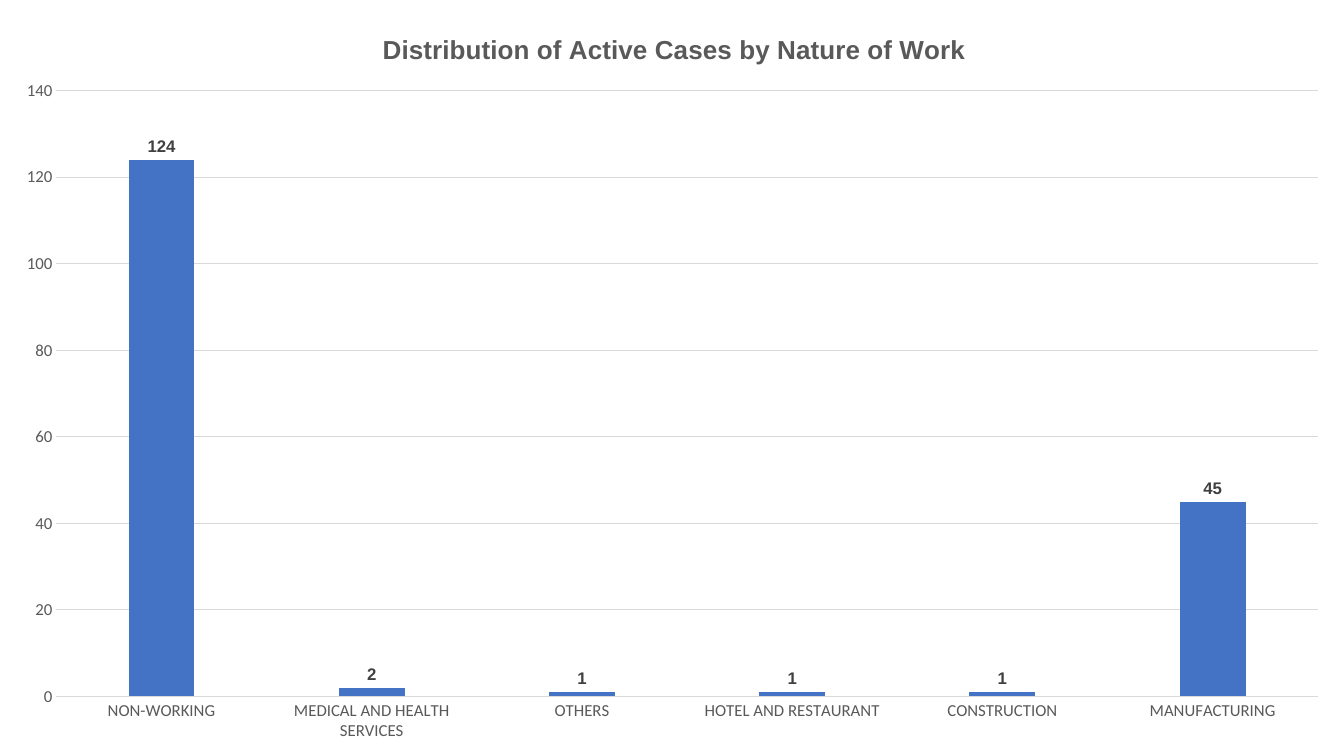
from pptx import Presentation
from pptx.chart.data import CategoryChartData
from pptx.dml.color import RGBColor
from pptx.enum.chart import XL_CHART_TYPE as CT, XL_LABEL_POSITION as LP, XL_TICK_MARK as TM
from pptx.oxml import parse_xml
from pptx.oxml.ns import nsdecls
from pptx.util import Inches, Pt

# Content
TITLE = "Distribution of Active Cases by Nature of Work"
SERIES = "Series 1"
CASES = [
    ("NON-WORKING", 124),
    ("MEDICAL AND HEALTH SERVICES", 2),
    ("OTHERS", 1),
    ("HOTEL AND RESTAURANT", 1),
    ("CONSTRUCTION", 1),
    ("MANUFACTURING", 45),
]

THEME = {
    "bar": "4472C4", "grid": "D9D9D9", "text": "595959", "label": "404040",
    "head_font": "Arial", "body_font": "Calibri",
    "title_size": 18.6, "text_size": 12,
}
WIDTH, HEIGHT = 13.33, 7.5
TITLE_AT = (3.75, 0.27)
PLOT_AT = (0.56, 0.9, 12.51, 6.01)


def style_font(font, face, size, color, bold=False):
    font.name, font.size, font.bold = THEME[face], Pt(THEME[size]), bold
    font.color.rgb = RGBColor.from_string(THEME[color])


def style_line(line):
    line.color.rgb = RGBColor.from_string(THEME["grid"])
    line.width = Pt(0.75)


def layout_xml(box, inner=False):
    """Manual layout for a box in inches: left, top and optionally width, height."""
    shares = [n / d for n, d in zip(box, (WIDTH, HEIGHT, WIDTH, HEIGHT))]
    target = '<c:layoutTarget val="inner"/>' if inner else ""
    modes = "".join(f'<c:{a}Mode val="edge"/>' for a in "xy")
    sizes = "".join(f'<c:{a} val="{v:.4f}"/>' for a, v in zip("xywh", shares))
    return parse_xml(f'<c:layout {nsdecls("c")}><c:manualLayout>'
                     f'{target}{modes}{sizes}</c:manualLayout></c:layout>')


def place(element, layout, index):
    for old in element.xpath("c:layout"):
        element.remove(old)
    element.insert(index, layout)


prs = Presentation()
prs.slide_width, prs.slide_height = Inches(WIDTH), Inches(HEIGHT)
s = prs.slides.add_slide(prs.slide_layouts[6])

# Chart
data = CategoryChartData()
data.categories = [name for name, _ in CASES]
data.add_series(SERIES, [count for _, count in CASES])
chart = s.shapes.add_chart(CT.COLUMN_CLUSTERED, 0, 0, Inches(WIDTH), Inches(HEIGHT), data).chart
chart.has_legend = False
style_font(chart.font, "body_font", "text_size", "text")

# Title
chart.has_title = True
p = chart.chart_title.text_frame.paragraphs[0]
r = p.add_run()
r.text = TITLE
style_font(r.font, "head_font", "title_size", "text", True)
chart.chart_title.include_in_layout = False
place(chart.chart_title._element, layout_xml(TITLE_AT), 1)

# Axes
cat, val = chart.category_axis, chart.value_axis
for axis in (cat, val):
    axis.major_tick_mark = axis.minor_tick_mark = TM.NONE
    style_font(axis.tick_labels.font, "body_font", "text_size", "text")
style_line(cat.format.line)
val.format.line.fill.background()
val.has_major_gridlines = True
style_line(val.major_gridlines.format.line)
val.minimum_scale, val.maximum_scale, val.major_unit = 0, 140, 20

# Columns and value labels
plot = chart.plots[0]
plot.gap_width, plot.overlap, plot.vary_by_categories = 219, -27, False
bars = plot.series[0]
bars.format.fill.solid()
bars.format.fill.fore_color.rgb = RGBColor.from_string(THEME["bar"])
labels = bars.data_labels
labels.show_value = True
labels.position = LP.OUTSIDE_END
style_font(labels.font, "head_font", "text_size", "label", True)
place(chart._chartSpace.chart.plotArea, layout_xml(PLOT_AT, inner=True), 0)

prs.save("out.pptx")
